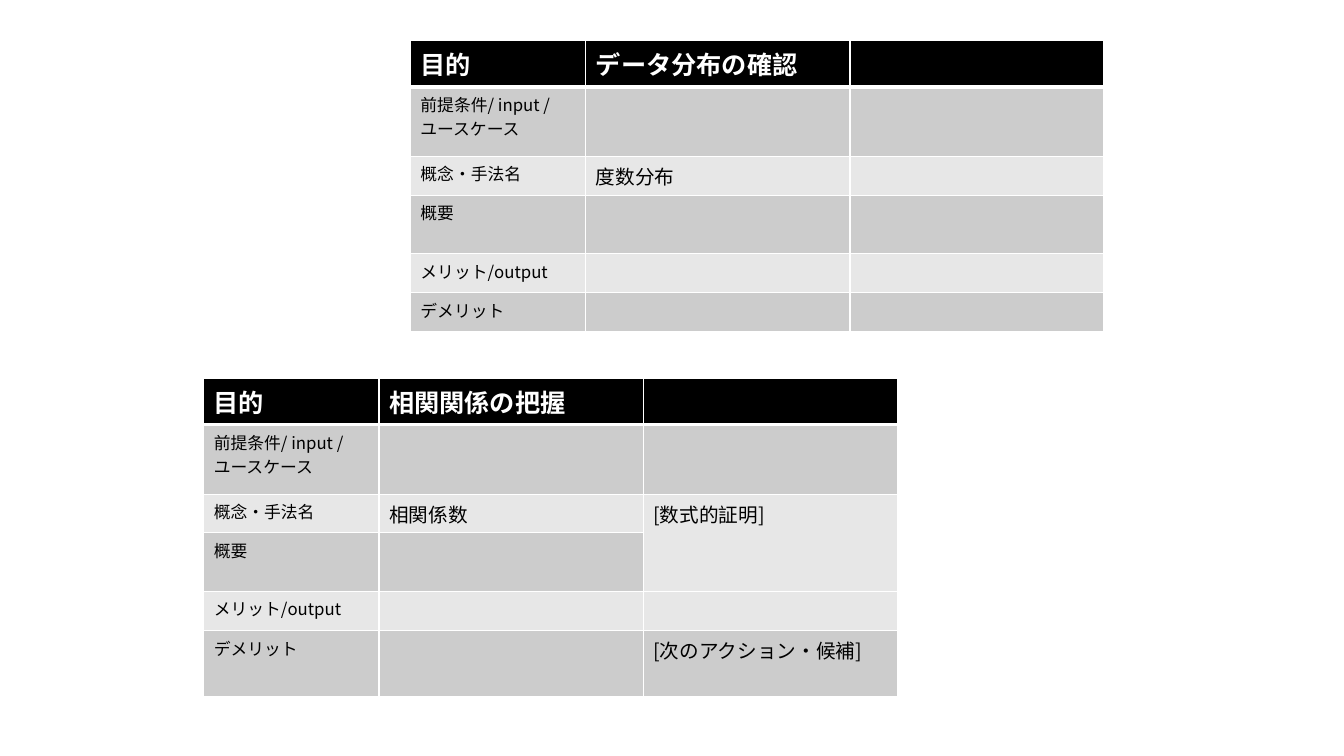
from dataclasses import dataclass, field

from lxml.etree import SubElement
from pptx import Presentation
from pptx.dml.color import RGBColor as Rgb
from pptx.oxml.ns import qn
from pptx.slide import Slide
from pptx.table import _Cell as Cell
from pptx.util import Inches, Pt


@dataclass(frozen=True)
class Theme:
    font: str = "Noto Sans CJK JP"
    header_fill: str = "000000"
    dark_band: str = "CCCCCC"
    light_band: str = "E7E7E7"
    rule: str = "FFFFFF"
    header_text: str = "FFFFFF"
    body_text: str = "000000"
    header_size: int = 18
    label_size: int = 12
    entry_size: int = 14
    thin_rule: int = 1
    header_rule: int = 3


@dataclass(frozen=True)
class MethodCard:
    left: float
    top: float
    purpose: str
    method: str
    last_row_height: float
    remarks: dict[int, str] = field(default_factory=dict)
    merged_rows: tuple[int, int] | None = None


THEME = Theme()
LABELS = (
    "目的",
    "前提条件/ input /\nユースケース",
    "概念・手法名",
    "概要",
    "メリット/output",
    "デメリット",
)
METHOD_ROW = 2
REMARK_COLUMN = 2
COLUMN_WIDTHS = (1.74, 2.62, 2.52)
UPPER_ROW_HEIGHTS = (0.45, 0.69, 0.38, 0.58, 0.39)
CARDS = (
    MethodCard(4.07, 0.4, "データ分布の確認", "度数分布", 0.38),
    MethodCard(
        2.02, 3.75, "相関関係の把握", "相関係数", 0.66,
        remarks={2: "[数式的証明]", 5: "[次のアクション・候補]"},
        merged_rows=(2, 3),
    ),
)


def draw_border(cell: Cell, edge: str, width: int) -> None:
    line = SubElement(cell._tc.get_or_add_tcPr(), qn(f"a:{edge}"), w=str(Pt(width)))
    fill = SubElement(line, qn("a:solidFill"))
    SubElement(fill, qn("a:srgbClr"), val=THEME.rule)


def style_cell(cell: Cell, row: int) -> None:
    top = THEME.header_rule if row == 1 else THEME.thin_rule
    bottom = THEME.header_rule if row == 0 else THEME.thin_rule
    for edge, width in (("lnL", THEME.thin_rule), ("lnR", THEME.thin_rule),
                        ("lnT", top), ("lnB", bottom)):
        draw_border(cell, edge, width)
    band = THEME.dark_band if row % 2 else THEME.light_band
    cell.fill.solid()
    cell.fill.fore_color.rgb = Rgb.from_string(band if row else THEME.header_fill)


def write_cell(cell: Cell, text: str, size: int, header: bool) -> None:
    frame = cell.text_frame
    if not text:
        SubElement(frame.paragraphs[0]._p, qn("a:endParaRPr"), sz=str(size * 100))
        return
    for index, line in enumerate(text.split("\n")):
        paragraph = frame.add_paragraph() if index else frame.paragraphs[0]
        run = paragraph.add_run()
        run.text = line
        run.font.name = THEME.font
        run.font.size = Pt(size)
        run.font.bold = header
        run.font.color.rgb = Rgb.from_string(
            THEME.header_text if header else THEME.body_text)
        SubElement(run.font._element, qn("a:ea"), typeface=THEME.font)


def draw_card(slide: Slide, card: MethodCard) -> None:
    heights = (*UPPER_ROW_HEIGHTS, card.last_row_height)
    table = slide.shapes.add_table(
        len(LABELS), len(COLUMN_WIDTHS), Inches(card.left), Inches(card.top),
        Inches(sum(COLUMN_WIDTHS)), Inches(sum(heights))).table
    for column, width in zip(table.columns, COLUMN_WIDTHS):
        column.width = Inches(width)
    entries = {0: card.purpose, METHOD_ROW: card.method}
    for row, (label, height) in enumerate(zip(LABELS, heights)):
        table.rows[row].height = Inches(height)
        texts = (label, entries.get(row, ""), card.remarks.get(row, ""))
        for column, text in enumerate(texts):
            body_size = THEME.entry_size if column else THEME.label_size
            cell = table.cell(row, column)
            style_cell(cell, row)
            write_cell(cell, text, body_size if row else THEME.header_size, row == 0)
    if card.merged_rows:
        first, last = card.merged_rows
        table.cell(first, REMARK_COLUMN).merge(table.cell(last, REMARK_COLUMN))


def main() -> None:
    deck = Presentation()
    deck.slide_width, deck.slide_height = Inches(13.33), Inches(7.5)
    slide = deck.slides.add_slide(deck.slide_layouts[6])
    for card in CARDS:
        draw_card(slide, card)
    deck.save("out.pptx")


if __name__ == "__main__":
    main()
